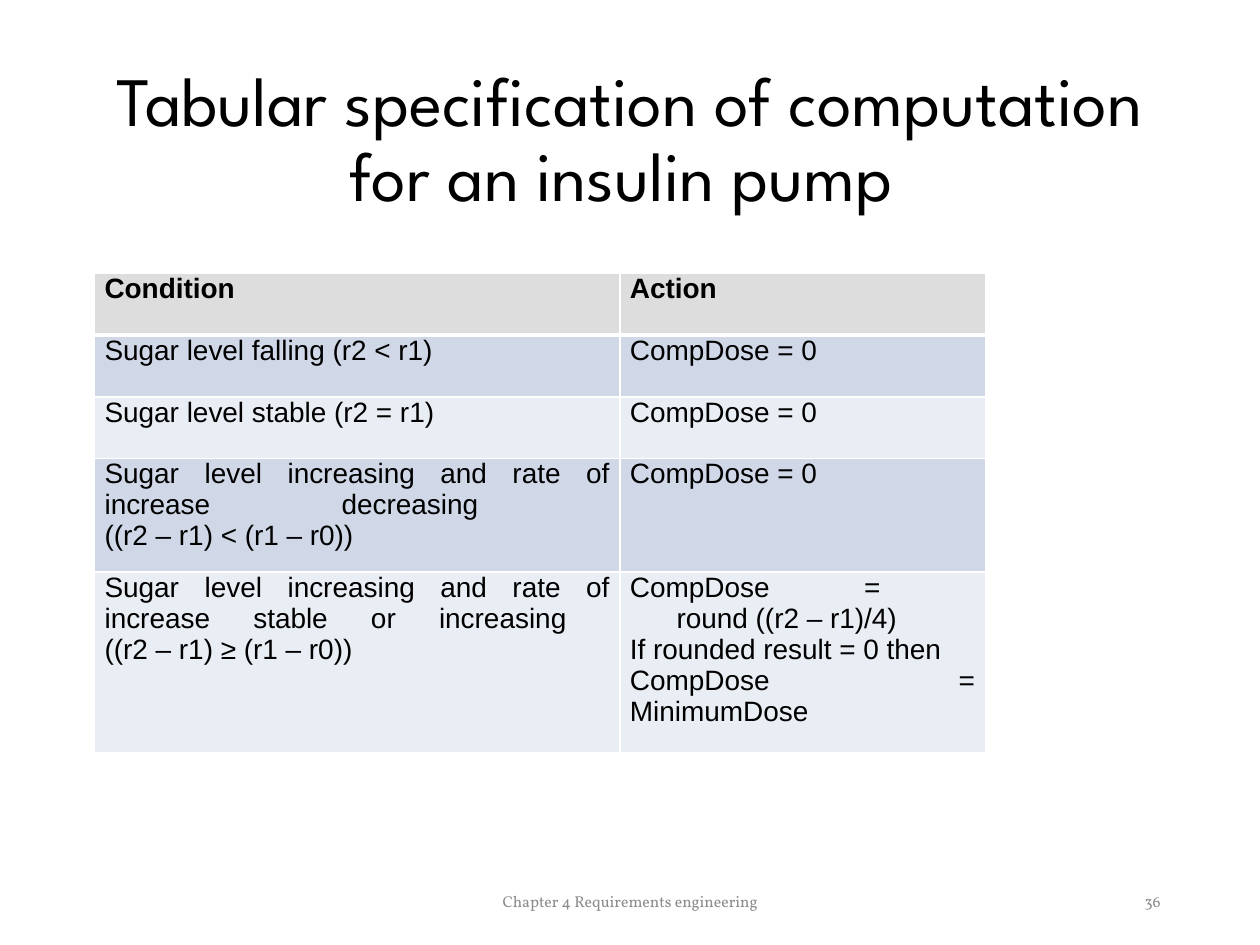
from dataclasses import dataclass
from typing import Any

from lxml.etree import SubElement
from pptx import Presentation
from pptx.dml.color import RGBColor
from pptx.enum.text import MSO_ANCHOR, PP_ALIGN
from pptx.oxml.ns import qn
from pptx.util import Inches, Pt

BLACK, GREY, WHITE = "000000", "8C8C8C", "FFFFFF"
HEADER_FILL, BAND_FILLS = "DDDDDD", ("D0D8E8", "E9EDF4")
COLUMN_WIDTHS = (4.17, 2.9)
ROW_HEIGHTS = (0.49, 0.49, 0.49, 0.84, 1.33)
HANGING = 0.37  # indent of a continued formula line

# Each cell is a list of paragraphs; \v marks a line break
ROWS = [
    (["Condition"], ["Action"]),
    (["Sugar level falling (r2 < r1)"], ["CompDose = 0"]),
    (["Sugar level stable (r2 = r1)"], ["CompDose = 0"]),
    (["Sugar level increasing and rate of increase decreasing \v"
      "((r2 – r1) < (r1 – r0))"], ["CompDose = 0"]),
    (["Sugar level increasing and rate of increase stable or increasing \v"
      "((r2 – r1) ≥ (r1 – r0))"],
     ["CompDose = \vround ((r2 – r1)/4)", "If rounded result = 0 then ",
      "CompDose = MinimumDose"]),
]


@dataclass
class TextStyle:
    font: str
    size: float
    color: str
    align: PP_ALIGN
    bold: bool = False


@dataclass
class FooterItem:
    text: str
    left: float
    width: float
    align: PP_ALIGN


FOOTER = [
    FooterItem("Chapter 4 Requirements engineering", 3.31, 3.38, PP_ALIGN.CENTER),
    FooterItem("36", 7.06, 2.25, PP_ALIGN.RIGHT),
]


def rgb(value: str) -> RGBColor:
    return RGBColor.from_string(value)


def set_values(target: Any, values: dict[str, Any]) -> None:
    for name, value in values.items():
        setattr(target, name, value)


def write(frame: Any, lines: list[str], style: TextStyle) -> None:
    """Fill a text frame with equally formatted paragraphs."""
    frame.word_wrap = True
    for index, line in enumerate(lines):
        para = frame.paragraphs[0] if index == 0 else frame.add_paragraph()
        para.text = line
        para.alignment = style.align
        for span in para.runs:
            set_values(span.font, {"name": style.font, "size": Pt(style.size),
                                   "bold": style.bold})
            span.font.color.rgb = rgb(style.color)


def add_border(cell: Any, side: str, points: float) -> None:
    line = SubElement(cell._tc.get_or_add_tcPr(), qn(f"a:ln{side}"),
                      w=str(Pt(points)))
    SubElement(SubElement(line, qn("a:solidFill")), qn("a:srgbClr"), val=WHITE)


def draw_cell(cell: Any, lines: list[str], row: int) -> None:
    is_header = row == 0
    write(cell.text_frame, lines,
          TextStyle("Arial", 16, BLACK, PP_ALIGN.JUSTIFY, is_header))
    set_values(cell, {"margin_left": Inches(0.08), "margin_right": Inches(0.08),
                      "margin_top": 0, "margin_bottom": Inches(0.1)})
    # A thick rule separates the header from the rows below
    widths = {"L": 1, "R": 1, "T": 3 if row == 1 else 1, "B": 3 if is_header else 1}
    for side, points in widths.items():
        add_border(cell, side, points)
    cell.fill.solid()
    cell.fill.fore_color.rgb = rgb(HEADER_FILL if is_header
                                   else BAND_FILLS[(row - 1) % 2])


def draw_table(page: Any) -> None:
    table = page.shapes.add_table(
        len(ROWS), len(COLUMN_WIDTHS), Inches(0.75), Inches(2.17),
        Inches(sum(COLUMN_WIDTHS)), Inches(sum(ROW_HEIGHTS))).table
    for column, width in zip(table.columns, COLUMN_WIDTHS):
        column.width = Inches(width)
    for row, (contents, height) in enumerate(zip(ROWS, ROW_HEIGHTS)):
        table.rows[row].height = Inches(height)
        for column, lines in enumerate(contents):
            draw_cell(table.cell(row, column), lines, row)
    # Hang the second line of the dose formula
    formula = table.cell(len(ROWS) - 1, 1).text_frame.paragraphs[0]
    properties = formula._p.get_or_add_pPr()
    properties.set("marL", str(Inches(HANGING)))
    properties.set("indent", str(-Inches(HANGING)))


def draw_title(page: Any) -> None:
    title = page.shapes.title
    set_values(title, {"left": Inches(0.69), "top": Inches(0.4),
                       "width": Inches(8.62), "height": Inches(1.45)})
    write(title.text_frame,
          ["Tabular specification of computation for an insulin pump "],
          TextStyle("League Spartan", 39.6, BLACK, PP_ALIGN.CENTER))
    title.text_frame.vertical_anchor = MSO_ANCHOR.MIDDLE
    title.text_frame.paragraphs[0].line_spacing = 0.9


def draw_footer(page: Any, item: FooterItem) -> None:
    box = page.shapes.add_textbox(Inches(item.left), Inches(6.95),
                                  Inches(item.width), Inches(0.4))
    write(box.text_frame, [item.text], TextStyle("Vollkorn", 9, GREY, item.align))
    box.text_frame.vertical_anchor = MSO_ANCHOR.MIDDLE


def main() -> None:
    deck = Presentation()
    set_values(deck, {"slide_width": Inches(10), "slide_height": Inches(7.5)})
    page = deck.slides.add_slide(deck.slide_layouts[5])  # title only
    draw_title(page)
    for item in FOOTER:
        draw_footer(page, item)
    draw_table(page)
    deck.save("out.pptx")


if __name__ == "__main__":
    main()
